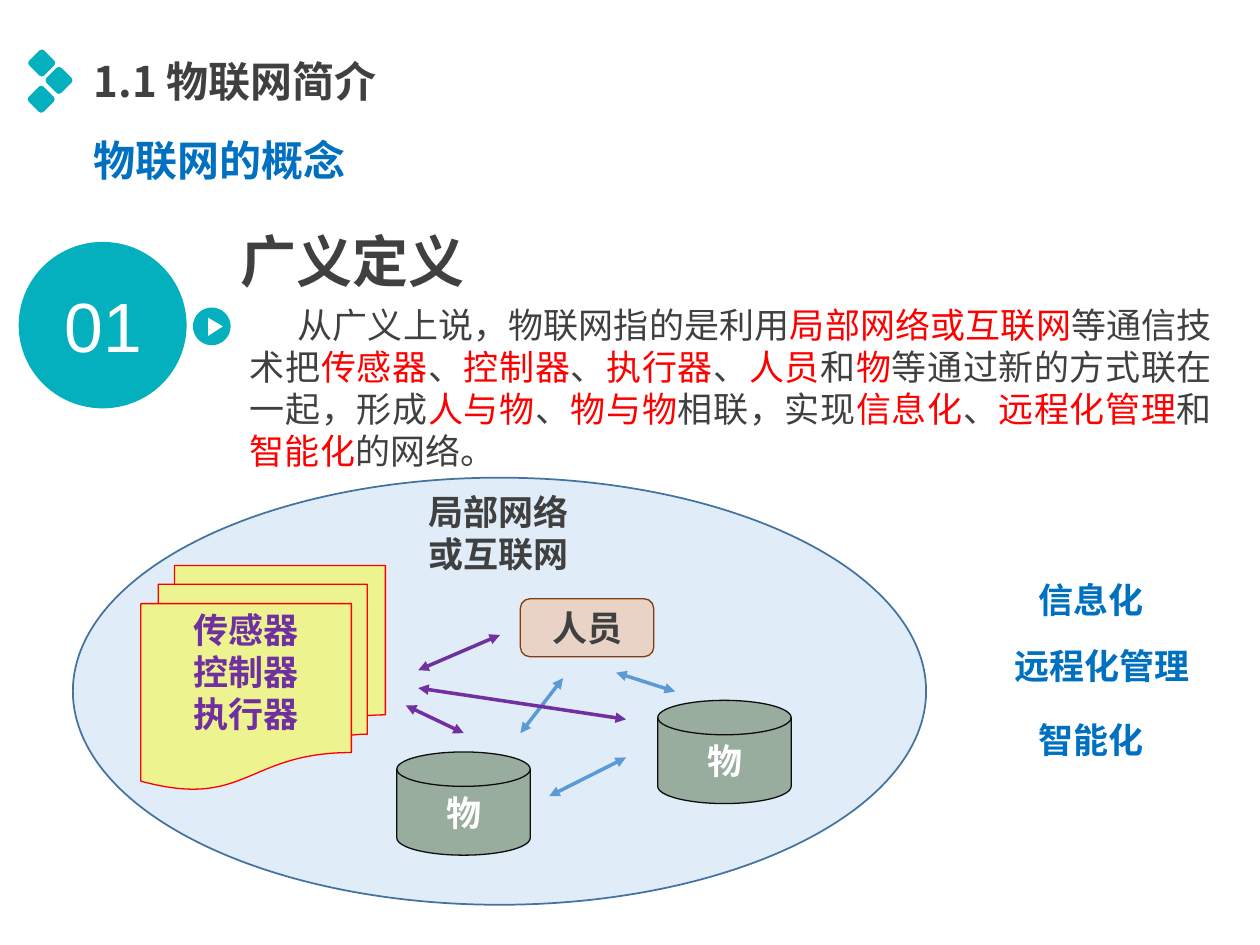
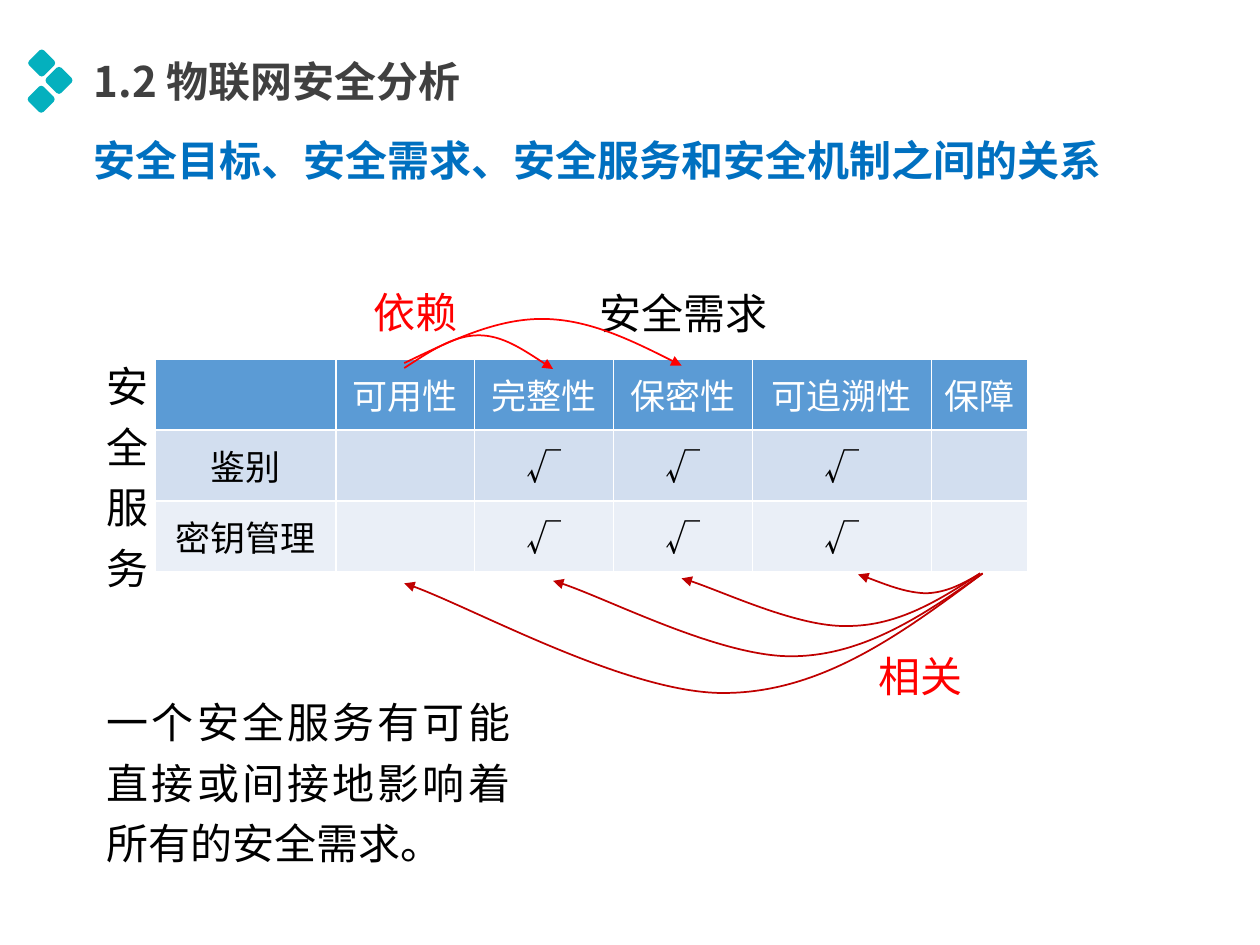
"""Build two slides on the Internet of Things and its security needs."""
import dataclasses

import lxml.etree
import pptx
import pptx.dml.color
import pptx.enum.shapes
import pptx.enum.text
import pptx.oxml.ns
import pptx.util

Cm = pptx.util.Cm
Pt = pptx.util.Pt
Kind = pptx.enum.shapes.MSO_SHAPE
Align = pptx.enum.text.PP_ALIGN
Anchor = pptx.enum.text.MSO_ANCHOR
qn = pptx.oxml.ns.qn


@dataclasses.dataclass(frozen=True)
class Theme:
    teal: str = "04B0BE"
    blue: str = "0070C0"
    sky: str = "5B9BD5"
    navy: str = "43739E"
    dark: str = "404040"
    ink: str = "0D0D0D"
    black: str = "000000"
    white: str = "FFFFFF"
    red: str = "FF0000"
    brick: str = "C00000"
    plum: str = "7030A0"
    lemon: str = "FFFF00"
    peach: str = "F4B183"
    brown: str = "843C0B"
    green: str = "385723"
    bands: tuple = ("D2DEEF", "EAEFF7")
    latin: str = "Arial"
    asian: str = "Noto Sans CJK SC"
    badge: float = 39.8
    head: int = 32
    title: int = 24
    body: int = 20


look = Theme()
tight = (0.19, 0.1, 0.18, 0.1)
loose = (0.14, 0, 0.46, 0)

marks = [(0.84, 1.27), (1.19, 1.62), (0.83, 2.0)]

heads = [
    ("1.1 物联网简介", 6.5, "物联网的概念", 6.5),
    ("1.2 物联网安全分析", 8.76, "安全目标、安全需求、安全服务和安全机制之间的关系", 21.95),
]

story = ("从广义上说，物联网指的是利用|局部网络或互联网|等通信技术把|传感器|、|控制器|、|执行器|、|人员|和|物|"
         "等通过新的方式联在一起，形成|人与物|、|物与物|相联，实现|信息化|、|远程化管理|和|智能化|的网络。")

nodes = [
    (Kind.FLOWCHART_MULTIDOCUMENT, (2.84, 11.4, 4.93, 4.52), look.lemon, look.red,
     "传感器\n控制器\n执行器", look.plum),
    (Kind.ROUNDED_RECTANGLE, (10.49, 12.07, 2.69, 1.17), look.peach, look.brown, "人员", look.dark),
    (Kind.FLOWCHART_MAGNETIC_DISK, (8, 15.16, 2.69, 2.08), look.green, look.ink, "物", look.white),
    (Kind.FLOWCHART_MAGNETIC_DISK, (13.26, 14.12, 2.69, 2.08), look.green, look.ink, "物", look.white),
]

links = [
    (look.sky, (11.35, 13.67, 10.49, 14.78)),
    (look.sky, (12.42, 13.56, 13.61, 13.94)),
    (look.sky, (12.62, 15.27, 11.07, 16.05)),
    (look.plum, (8.18, 14.22, 9.35, 14.78)),
    (look.plum, (8.43, 13.87, 12.62, 14.5)),
    (look.plum, (10.08, 12.8, 8.43, 13.51)),
]

goals = [
    ("信息化", (20.12, 11.56, 3.73, 1.04)),
    ("远程化管理", (19.91, 12.9, 4.6, 1.04)),
    ("智能化", (20.12, 14.38, 3.73, 1.04)),
]

grid = [
    ("", "可用性", "完整性", "保密性", "可追溯性", "保障"),
    ("鉴别", "", "√", "√", "√", ""),
    ("密钥管理", "", "√", "√", "√", ""),
]
wide = (3.65, 2.8, 2.8, 2.8, 3.61, 1.95)
tall = 1.43

notes = [
    ("安全需求", (11.94, 5.59, 4.27, 1.22), look.black),
    ("安全服务", (2.01, 7.04, 1.12, 4.93), look.black),
    ("依赖", (7.39, 5.59, 3.07, 1.17), look.red),
    ("相关", (17.58, 13.06, 2.82, 0.91), look.red),
    ("一个安全服务有可能直接或间接地影响着所有的安全需求。", (2.01, 13.51, 8.74, 4.32), look.black),
]

arcs = [
    (look.red, [(8.15, 7.42), (8.66, 7.09), (9.14, 6.76), (9.65, 6.76),
                (10.13, 6.76), (10.64, 7.11), (11.15, 7.44)]),
    (look.red, [(8.15, 7.32), (9.07, 6.88), (9.98, 6.43), (10.92, 6.43),
                (11.84, 6.43), (12.78, 6.88), (13.74, 7.37)]),
    (look.brick, [(19.76, 11.56), (19.43, 11.76), (19.1, 11.94), (18.69, 11.96),
                  (18.26, 11.96), (17.55, 11.66), (17.3, 11.58)]),
    (look.brick, [(19.76, 11.56), (18.95, 12.09), (18.11, 12.62), (17.09, 12.62),
                  (16.1, 12.65), (14.33, 11.81), (13.74, 11.66)]),
    (look.brick, [(19.81, 11.56), (18.62, 12.4), (17.42, 13.21), (16, 13.23),
                  (14.55, 13.26), (12.01, 11.94), (11.15, 11.71)]),
    (look.brick, [(19.81, 11.56), (18.21, 12.75), (16.61, 13.94), (14.66, 13.97),
                  (12.73, 14.02), (9.3, 12.12), (8.15, 11.76)]),
]


def tint(code):
    return pptx.dml.color.RGBColor.from_string(code)


def lengths(values):
    return [Cm(v) for v in values]


def child(parent, tag, **attrs):
    return lxml.etree.SubElement(parent, qn(tag), attrs)


def style(run, size, color, bold=False, face=look.latin):
    run.font.name = face
    run.font.size = Pt(size)
    run.font.bold = bold
    run.font.color.rgb = tint(color)
    child(run.font._element, "a:ea", typeface=look.asian)


def write(frame, text, size, color, bold=False, align=Align.CENTER, face=look.latin,
          pad=tight, wrap=True, anchor=Anchor.TOP, space=None):
    frame.text = text
    frame.word_wrap = wrap
    frame.vertical_anchor = anchor
    frame.margin_left, frame.margin_top, frame.margin_right, frame.margin_bottom = lengths(pad)
    for para in frame.paragraphs:
        para.alignment = align
        para.line_spacing = space
        for run in para.runs:
            style(run, size, color, bold, face)


def label(slide, box, *args, **opts):
    write(slide.shapes.add_textbox(*lengths(box)).text_frame, *args, **opts)


def paint(shape, fill=None, line=None, width=1, alpha=None):
    shape.shadow.inherit = False
    if fill:
        shape.fill.solid()
        shape.fill.fore_color.rgb = tint(fill)
        if alpha:
            child(shape.element.spPr.find(".//" + qn("a:srgbClr")), "a:alpha", val=str(alpha * 1000))
    else:
        shape.fill.background()
    if line:
        shape.line.color.rgb = tint(line)
        shape.line.width = Pt(width)
    else:
        shape.line.fill.background()


def form(slide, kind, box, *args, **opts):
    shape = slide.shapes.add_shape(kind, *lengths(box))
    paint(shape, *args, **opts)
    return shape


def tip(line, *ends):
    for end in ends:
        child(line._get_or_add_ln(), "a:" + end, type="triangle")


def trace(slide, *loops, close=True):
    pen = None
    for start, *steps in loops:
        first = lengths(start)
        if pen is None:
            pen = slide.shapes.build_freeform(*first)
        else:
            pen.move_to(*first)
        pen.add_line_segments([lengths(dot) for step in steps for dot in step], close=close)
    shape = pen.convert_to_shape()
    lines = iter(shape.element.findall(".//" + qn("a:lnTo")))
    for _, *steps in loops:
        for step in steps:
            curve, *rest = [next(lines) for _ in step]
            if rest:
                curve.tag = qn("a:cubicBezTo")
            for line in rest:
                curve.append(line[0])
                line.getparent().remove(line)
    return shape


def gem(x, y, half=0.3, cut=0.15):
    tips = [(x - half, y), (x, y - half), (x + half, y), (x, y + half)]
    loop = []
    for i, top in enumerate(tips):
        a, b, c, d = [tuple(p + (q - p) * part for p, q in zip(top, tips[near % 4]))
                      for near, part in ((i - 1, cut), (i - 1, cut / 2), (i + 1, cut / 2), (i + 1, cut))]
        loop += [[a], [b, c, d]]
    return [loop[0][0], *loop[1:]]


def ring(x, y, r, bow=0.55):
    loop = [(x, y - r)]
    for i, j in ((0, -1), (1, 0), (0, 1), (-1, 0)):
        turns = ((i - bow * j, j + bow * i), (-j + bow * i, i + bow * j), (-j, i))
        loop.append([(x + r * p, y + r * q) for p, q in turns])
    return loop


def header(slide, title, span, sub, room):
    for mark in marks:
        paint(trace(slide, gem(*mark)), look.teal)
    for text, top, width, color in ((title, 1.02, span, look.dark), (sub, 2.62, room, look.blue)):
        label(slide, (1.7, top, width, 1.22), text, look.title, color, True, Align.LEFT, look.asian)


def intro(slide):
    form(slide, Kind.OVAL, (0.43, 4.93, 3.28, 3.25), look.teal, look.teal, 3)
    play = [(4.5, 6.58), [(4.19, 6.78)], [(4.19, 6.4)]]
    paint(trace(slide, ring(4.27, 6.58, 0.38), play), look.teal)
    label(slide, (0.91, 5.61, 2.34, 1.88), "01", look.badge, look.white)
    label(slide, (4.65, 4.47, 4.95, 1.55), "广义定义", look.head, look.dark, True, Align.LEFT, wrap=False)
    frame = slide.shapes.add_textbox(*lengths((4.85, 6.02, 19.76, 3.61))).text_frame
    write(frame, "", look.body, look.dark, align=Align.JUSTIFY)
    para = frame.paragraphs[0]
    para._p.get_or_add_pPr().set("indent", str(Cm(0.96)))
    for i, part in enumerate(story.split("|")):
        run = para.add_run()
        run.text = part
        style(run, look.body, look.red if i % 2 else look.dark)


def network(slide):
    for kind, box, fill, line, text, color in nodes:
        shape = form(slide, kind, box, fill, line, 0.75, 42)
        write(shape.text_frame, text, look.body, color, True)
    label(slide, (8.18, 9.78, 3.73, 1.91), "局部网络或互联网", look.body, look.dark, True)
    for color, ends in links:
        wire = slide.shapes.add_connector(pptx.enum.shapes.MSO_CONNECTOR.STRAIGHT, *lengths(ends))
        wire.line.color.rgb = tint(color)
        wire.line.width = Pt(2)
        tip(wire.line, "headEnd", "tailEnd")
        child(wire.element.spPr, "a:effectLst")
    for text, box in goals:
        label(slide, box, text, look.body, look.blue, True)


def edge(cell):
    for side in "LRTB":
        line = child(cell._tc.get_or_add_tcPr(), "a:ln" + side, w=str(Pt(1)))
        child(child(line, "a:solidFill"), "a:srgbClr", val=look.white)


def matrix(slide):
    box = (3.12, 7.24, sum(wide), tall * len(grid))
    table = slide.shapes.add_table(len(grid), len(wide), *lengths(box)).table
    for col, width in zip(table.columns, wide):
        col.width = Cm(width)
    for r, (row, fill) in enumerate(zip(grid, (look.sky, *look.bands))):
        table.rows[r].height = Cm(tall)
        for c, text in enumerate(row):
            cell = table.cell(r, c)
            edge(cell)
            cell.fill.solid()
            cell.fill.fore_color.rgb = tint(fill)
            cell.vertical_anchor = Anchor.MIDDLE
            if text:
                cell.text_frame.text = text
                para = cell.text_frame.paragraphs[0]
                para.alignment = Align.CENTER
                style(para.runs[0], look.body, look.black if r else look.white, face=look.asian)


def main():
    deck = pptx.Presentation()
    deck.slide_width, deck.slide_height = lengths((25.4, 19.05))
    one, two = [deck.slides.add_slide(deck.slide_layouts[6]) for _ in heads]

    form(one, Kind.OVAL, (1.47, 9.63, 17.2, 8.61), look.sky, look.navy, alpha=19)
    header(one, *heads[0])
    intro(one)
    network(one)

    header(two, *heads[1])
    matrix(two)
    for text, box, color in notes:
        label(two, box, text, look.title, color, align=Align.JUSTIFY, face=look.asian,
              pad=loose, anchor=Anchor.MIDDLE, space=1.2)
    for color, dots in arcs:
        arc = trace(two, [dots[0], dots[1:4], dots[4:]], close=False)
        paint(arc, line=color)
        tip(arc.line, "tailEnd")

    deck.save("out.pptx")


if __name__ == "__main__":
    main()
